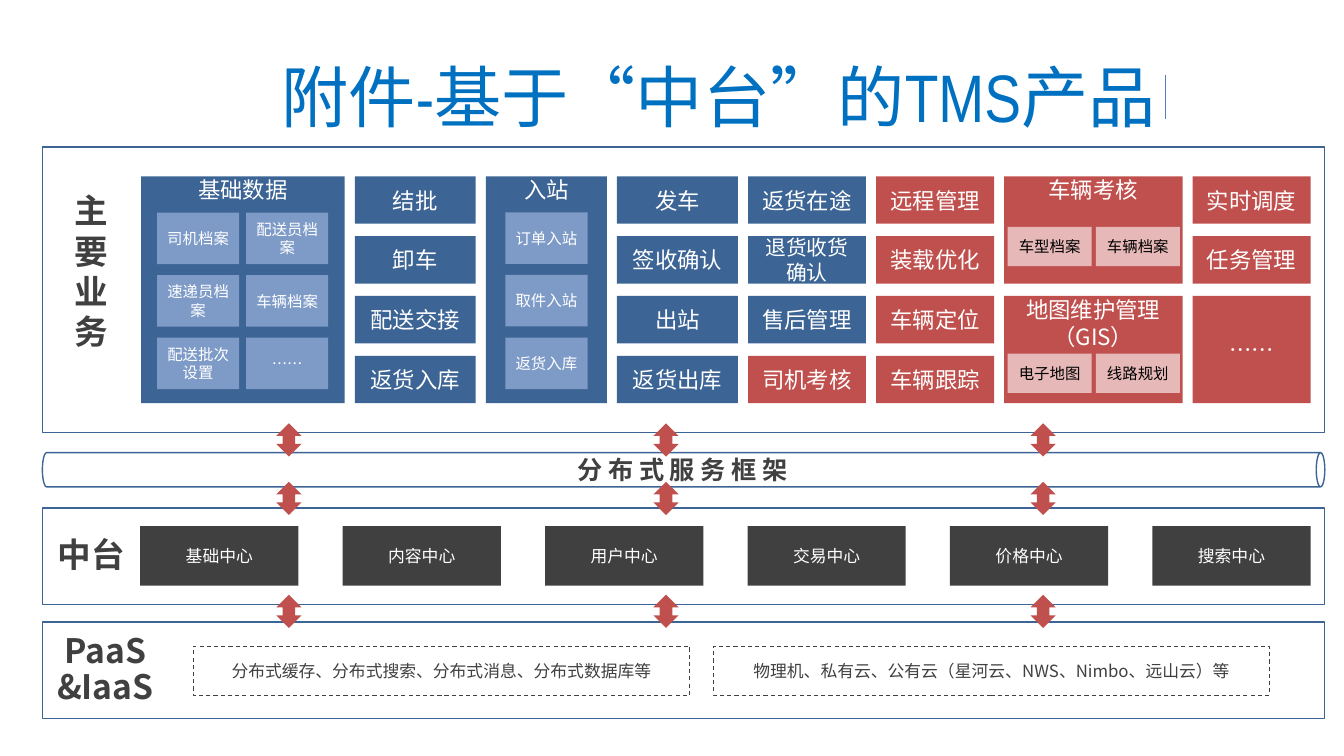
from dataclasses import dataclass

from lxml import etree
from pptx import Presentation
from pptx import util as u
from pptx.dml.color import RGBColor
from pptx.enum import dml, lang, shapes, text
from pptx.oxml.ns import qn


@dataclass(frozen=True)
class Theme:
    """Fonts, colours and type sizes of the slide."""
    font: str = "Noto Sans CJK SC"
    title_font: str = "Arial Narrow"
    title_blue: str = "0070C0"
    rule: str = "4F81BD"
    blue: str = "3C6494"
    light_blue: str = "7E9BC8"
    red: str = "C0504D"
    pink: str = "E6B9B8"
    dark: str = "404040"
    white: str = "FFFFFF"
    black: str = "000000"
    title: float = 48
    label: float = 24
    framework: float = 18
    module: float = 16
    tight: float = 14.8
    center: float = 12
    item: float = 11


T = Theme()


@dataclass(frozen=True)
class Box:
    """A rectangle in inches that can be divided into areas."""
    x: float
    y: float
    w: float
    h: float

    def share(self, x, y, w, h):
        """Return the area at the given percentages of this box."""
        return Box(self.x + self.w * x / 100, self.y + self.h * y / 100,
                   self.w * w / 100, self.h * h / 100)

    def columns(self, weights, gap):
        """Split into weighted columns with equal gaps."""
        unit = 100 / (sum(weights) + gap * (len(weights) - 1))
        return [self.share((sum(weights[:i]) + gap * i) * unit, 0, w * unit, 100)
                for i, w in enumerate(weights)]

    def rows(self, weights, gap):
        """Split into weighted rows with equal gaps."""
        unit = 100 / (sum(weights) + gap * (len(weights) - 1))
        return [self.share(0, (sum(weights[:i]) + gap * i) * unit, 100, w * unit)
                for i, w in enumerate(weights)]

    def emu(self):
        """Return left, top, width and height as lengths."""
        return [u.Inches(v) for v in (self.x, self.y, self.w, self.h)]


@dataclass(frozen=True)
class Module:
    """A business module, its height in rows and its inner items."""
    name: str
    fill: str = T.blue
    rows: int = 1
    size: float = T.module
    items: tuple = ()
    area: tuple = ()
    item_cols: tuple = (81, 7)
    item_rows: tuple = (51, 11)
    item_fill: str = T.light_blue
    item_color: str = T.white


SLIDE = Box(0, 0, 13.33, 7.5)
ROW, ROW_GAP = 47, 12.33
CHECK = dict(fill=T.red, rows=2, item_cols=(83, 4), item_fill=T.pink, item_color=T.black)
COLUMNS = [
    (202, [Module("基础数据", rows=4, area=(7.9, 16, 84, 77.8), items=(
        ("司机档案", "配送员档案"), ("速递员档案", "车辆档案"), ("配送批次设置", "……")))]),
    (120, [Module(n) for n in ("结批", "卸车", "配送交接", "返货入库")]),
    (120, [Module("入站", rows=4, area=(16, 15.8, 68, 78),
                  items=(("订单入站",), ("取件入站",), ("返货入库",)))]),
    (120, [Module(n) for n in ("发车", "签收确认", "出站", "返货出库")]),
    (117, [Module("返货在途"), Module("退货收货\n确认", size=T.tight),
           Module("售后管理"), Module("司机考核", T.red)]),
    (117, [Module(n, T.red) for n in ("远程管理", "装载优化", "车辆定位", "车辆跟踪")]),
    (177, [Module("车辆考核", area=(2, 47, 96.5, 36.8), items=(("车型档案", "车辆档案"),), **CHECK),
           Module("地图维护管理（GIS）", area=(2, 53.7, 96.5, 36.8),
                  items=(("电子地图", "线路规划"),), **CHECK)]),
    (117, [Module("实时调度", T.red), Module("任务管理", T.red), Module("……", T.red, rows=2)]),
]
CENTERS = ("基础中心", "内容中心", "用户中心", "交易中心", "价格中心", "搜索中心")
RESOURCES = ("分布式缓存、分布式搜索、分布式消息、分布式数据库等",
             "物理机、私有云、公有云（星河云、NWS、Nimbo、远山云）等")


def write(sp, words, size, color, font=T.font, bold=False, align=text.PP_ALIGN.CENTER):
    """Set the text of a shape and format its runs."""
    sp.text_frame.text = words
    for p in sp.text_frame.paragraphs:
        p.alignment = align
        for r in p.runs:
            r.font.size, r.font.bold, r.font.name = u.Pt(size), bold, font
            r.font.color.rgb = RGBColor.from_string(color)
            r.font.language_id = lang.MSO_LANGUAGE_ID.SIMPLIFIED_CHINESE
            latin = r.font._element.find(qn("a:latin"))
            ea = etree.Element(qn("a:ea"), typeface=T.font)
            latin.addnext(ea)


def add_block(s, box, fill=None, line=None, kind=shapes.MSO_SHAPE.RECTANGLE, weight=1):
    """Add a flat preset shape."""
    sp = s.shapes.add_shape(kind, *box.emu())
    sp.shadow.inherit = False
    if fill:
        sp.fill.solid()
        sp.fill.fore_color.rgb = RGBColor.from_string(fill)
    else:
        sp.fill.background()
    if line:
        sp.line.color.rgb = RGBColor.from_string(line)
        sp.line.width = u.Pt(weight)
    else:
        sp.line.fill.background()
    return sp


def no_insets(sp):
    """Remove the inner margins of a shape."""
    tf = sp.text_frame
    tf.margin_left = tf.margin_right = tf.margin_top = tf.margin_bottom = 0


def add_label(s, box, words, size=T.label, wrap=True):
    """Add a bold region label."""
    sp = s.shapes.add_textbox(*box.emu())
    sp.text_frame.word_wrap = wrap
    write(sp, words, size, T.dark, bold=True)
    if wrap:
        for p in sp.text_frame.paragraphs:
            p.line_spacing, p.space_after = 0.9, u.Pt(3)


def add_title(s, box):
    """Place the title and the thin rule at its right."""
    sp = s.shapes.title
    sp.left, sp.top, sp.width, sp.height = box.emu()
    sp.text_frame.word_wrap = True
    sp.text_frame.vertical_anchor = text.MSO_ANCHOR.MIDDLE
    write(sp, "附件-基于“中台”的TMS产品", T.title, T.title_blue, T.title_font,
          align=text.PP_ALIGN.RIGHT)
    edge = box.share(100, 17.5, 0, 70)
    x, y, _, h = edge.emu()
    rule = s.shapes.add_connector(shapes.MSO_CONNECTOR.STRAIGHT, x, y, x, y + h)
    rule.line.color.rgb = RGBColor.from_string(T.rule)
    rule.line.width = u.Pt(0.5)
    etree.SubElement(rule._element.spPr, qn("a:effectLst"))


def add_module(s, box, module):
    """Draw a module and the grid of items inside it."""
    sp = add_block(s, box, module.fill)
    no_insets(sp)
    sp.text_frame.vertical_anchor = text.MSO_ANCHOR.TOP if module.items else text.MSO_ANCHOR.MIDDLE
    write(sp, module.name, module.size, T.white)
    if not module.items:
        return
    height, gap = module.item_rows
    width, col_gap = module.item_cols
    lines = box.share(*module.area).rows([height] * len(module.items), gap)
    for line, names in zip(lines, module.items):
        for cell, name in zip(line.columns([width] * len(names), col_gap), names):
            write(add_block(s, cell, module.item_fill), name, T.item, module.item_color)


def add_business(s, box):
    """Draw the business panel with its columns of modules."""
    add_block(s, box, line=T.blue)
    add_label(s, box.share(-1.1, 14.84, 9.83, 70), "主\n要\n业\n务")
    columns = box.share(7.7, 10.25, 91.2, 79.5).columns([w for w, _ in COLUMNS], 10)
    for column, (_, modules) in zip(columns, COLUMNS):
        heights = [m.rows * ROW + (m.rows - 1) * ROW_GAP for m in modules]
        for cell, module in zip(column.rows(heights, ROW_GAP), modules):
            add_module(s, cell, module)


def add_framework(s, box):
    """Draw the service framework as a lying cylinder."""
    upright = Box(box.x + (box.w - box.h) / 2, box.y + (box.h - box.w) / 2, box.h, box.w)
    add_block(s, upright, line=T.blue, kind=shapes.MSO_SHAPE.CAN).rotation = 90
    add_label(s, box.share(40.41, -8.8, 19.03, 117.6), "分 布 式 服 务 框 架", T.framework, False)


def add_middle(s, box):
    """Draw the middle platform panel with its centers."""
    add_block(s, box, line=T.blue)
    add_label(s, box.share(-1.1, 26, 9.83, 48), "中台")
    cells = box.share(7.63, 18.75, 91.27, 61.5).columns([157] * len(CENTERS), 43.8)
    for cell, name in zip(cells, CENTERS):
        sp = add_block(s, cell, T.dark)
        no_insets(sp)
        write(sp, name, T.center, T.white)


def add_infrastructure(s, box):
    """Draw the infrastructure panel with its dashed resource boxes."""
    add_block(s, box, line=T.blue)
    add_label(s, box.share(0, 7.3, 9.83, 86.5), "PaaS&IaaS")
    for cell, name in zip(box.share(11.79, 25, 83.88, 51).columns([492, 551], 24), RESOURCES):
        sp = add_block(s, cell, line=T.dark, weight=0.75)
        sp.line.dash_style = dml.MSO_LINE.DASH
        write(sp, name, T.center, T.dark)


def add_arrows(s, box):
    """Draw a row of three double arrows."""
    for cell in box.columns([25] * 3, 349):
        add_block(s, cell, T.red, kind=shapes.MSO_SHAPE.UP_DOWN_ARROW)


def main():
    """Build the slide and save it."""
    prs = Presentation()
    prs.slide_width, prs.slide_height = u.Inches(SLIDE.w), u.Inches(SLIDE.h)
    s = prs.slides.add_slide(prs.slide_layouts[5])
    add_title(s, SLIDE.share(5.03, 8.53, 81.7, 8.27))
    add_business(s, SLIDE.share(3.15, 19.47, 95.42, 37.73))
    add_framework(s, SLIDE.share(3.15, 59.87, 95.42, 4.53))
    add_middle(s, SLIDE.share(3.15, 67.2, 95.42, 12.8))
    add_infrastructure(s, SLIDE.share(3.15, 82.27, 95.42, 12.8))
    for top in (56, 63.73, 78.67):
        add_arrows(s, SLIDE.share(20.56, top, 57.99, 4.4))
    prs.save("out.pptx")


if __name__ == "__main__":
    main()
